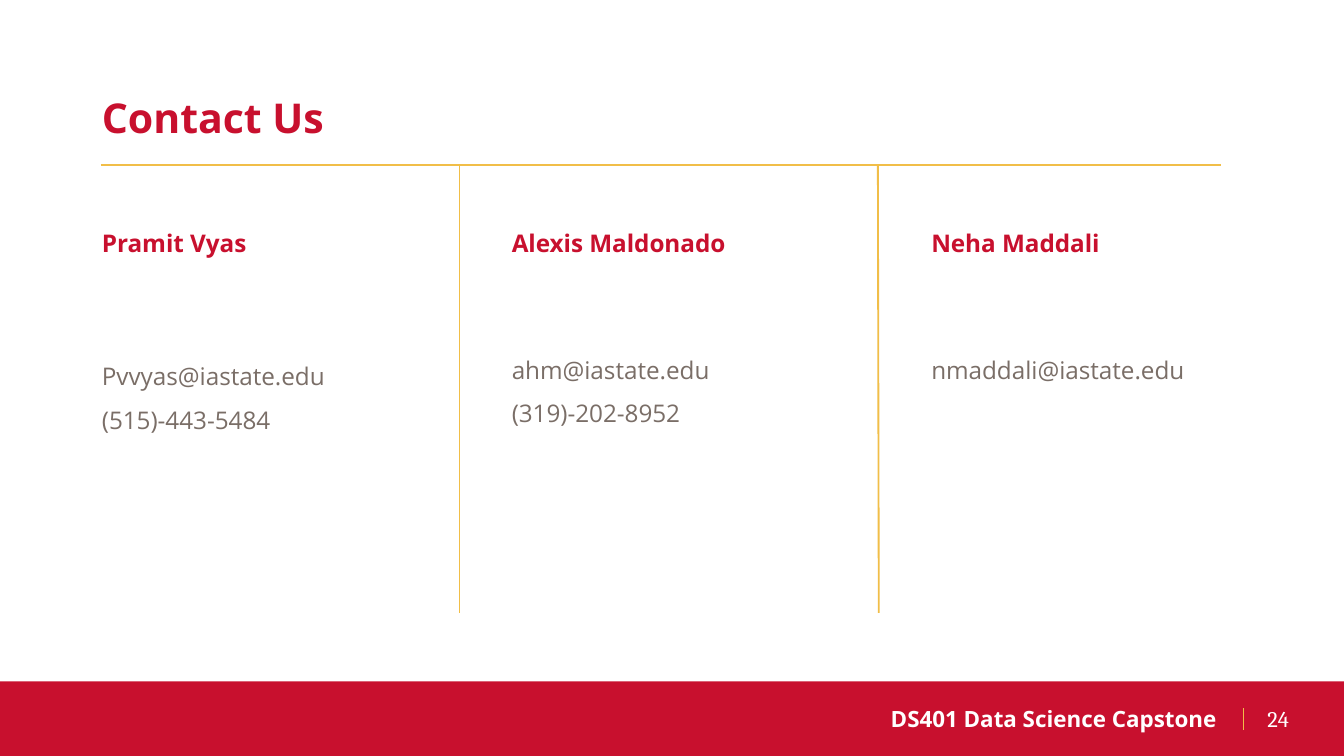
from lxml.etree import SubElement
from pptx import Presentation
from pptx.dml.color import RGBColor
from pptx.enum.shapes import MSO_CONNECTOR as Connector, MSO_SHAPE as Shape
from pptx.enum.text import MSO_ANCHOR as Anchor, PP_ALIGN as Align
from pptx.oxml.ns import qn
from pptx.util import Pt

COLORS = {"red": "C8102E", "gold": "F1BE48", "gray": "7A6E67", "white": "FFFFFF"}
CONTACTS = [
    ("Pramit Vyas", ["Pvvyas@iastate.edu", "(515)-443-5484"], 47.5, 181, 47.7),
    ("Alexis Maldonado", ["ahm@iastate.edu", "(319)-202-8952"], 267.1, 185, 44.3),
    ("Neha Maddali", ["nmaddali@iastate.edu"], 491.8, 162, 44.3),
]
RULE_TOP = 88.5
DIVIDERS = [(246.2, 246.2), (470.3, 470.8)]


def color(name):
    return RGBColor.from_string(COLORS[name])


def add_rectangle(page, left, top, width, height, fill):
    box = page.shapes.add_shape(
        Shape.RECTANGLE, Pt(left), Pt(top), Pt(width), Pt(height)
    )
    box.shadow.inherit = False
    box.fill.solid()
    box.fill.fore_color.rgb = color(fill)
    box.line.fill.background()
    return box


def add_line(page, start, end, width=1):
    line = page.shapes.add_connector(
        Connector.STRAIGHT, *(Pt(value) for value in (*start, *end))
    )
    line.line.color.rgb = color("gold")
    line.line.width = Pt(width)
    SubElement(line._element.spPr, qn("a:effectLst"))


def write(paragraph, text, size, ink, bold=False, font="Open Sans", align=Align.LEFT):
    paragraph.text = text
    paragraph.alignment = align
    paragraph.font.name = font
    paragraph.font.size = Pt(size)
    paragraph.font.bold = bold
    paragraph.font.color.rgb = color(ink)


def add_text(page, left, top, width, height, text, anchor=Anchor.TOP, **style):
    box = page.shapes.add_textbox(Pt(left), Pt(top), Pt(width), Pt(height))
    box.text_frame.word_wrap = True
    box.text_frame.vertical_anchor = anchor
    write(box.text_frame.paragraphs[0], text, **style)


def add_contact(page, name, details, left, width, gap):
    box = add_rectangle(page, left, 118.8, width, 156.2, "white")
    frame = box.text_frame
    frame.word_wrap = True
    frame.vertical_anchor = Anchor.TOP
    write(frame.paragraphs[0], name, 13, "red", bold=True)
    for index, detail in enumerate(details):
        paragraph = frame.add_paragraph()
        paragraph.line_spacing = 1.5
        paragraph.space_before = Pt(0 if index else gap)
        write(paragraph, detail, 13, "gray")


def add_footer(page):
    add_rectangle(page, 0, 365, 720, 40, "red")
    add_text(page, 329, 374.4, 330, 22.3, "DS401 Data Science Capstone",
             size=12, ink="white", bold=True, align=Align.RIGHT)
    add_text(page, 671.8, 374.4, 41.8, 21.6, "24", anchor=Anchor.MIDDLE,
             size=12, ink="white", font="Cambria")
    add_line(page, (666, 379.4), (666, 391), 0.75)


def main():
    deck = Presentation()
    deck.slide_width, deck.slide_height = Pt(720), Pt(405)
    page = deck.slides.add_slide(deck.slide_layouts[6])
    add_footer(page)
    add_text(page, 47.5, 46.1, 610.6, 63.4, "Contact Us",
             size=22, ink="red", bold=True)
    for contact in CONTACTS:
        add_contact(page, *contact)
    add_line(page, (54, RULE_TOP), (654, RULE_TOP))
    for top_x, bottom_x in DIVIDERS:
        add_line(page, (top_x, RULE_TOP), (bottom_x, 328.3))
    deck.save("out.pptx")


if __name__ == "__main__":
    main()
